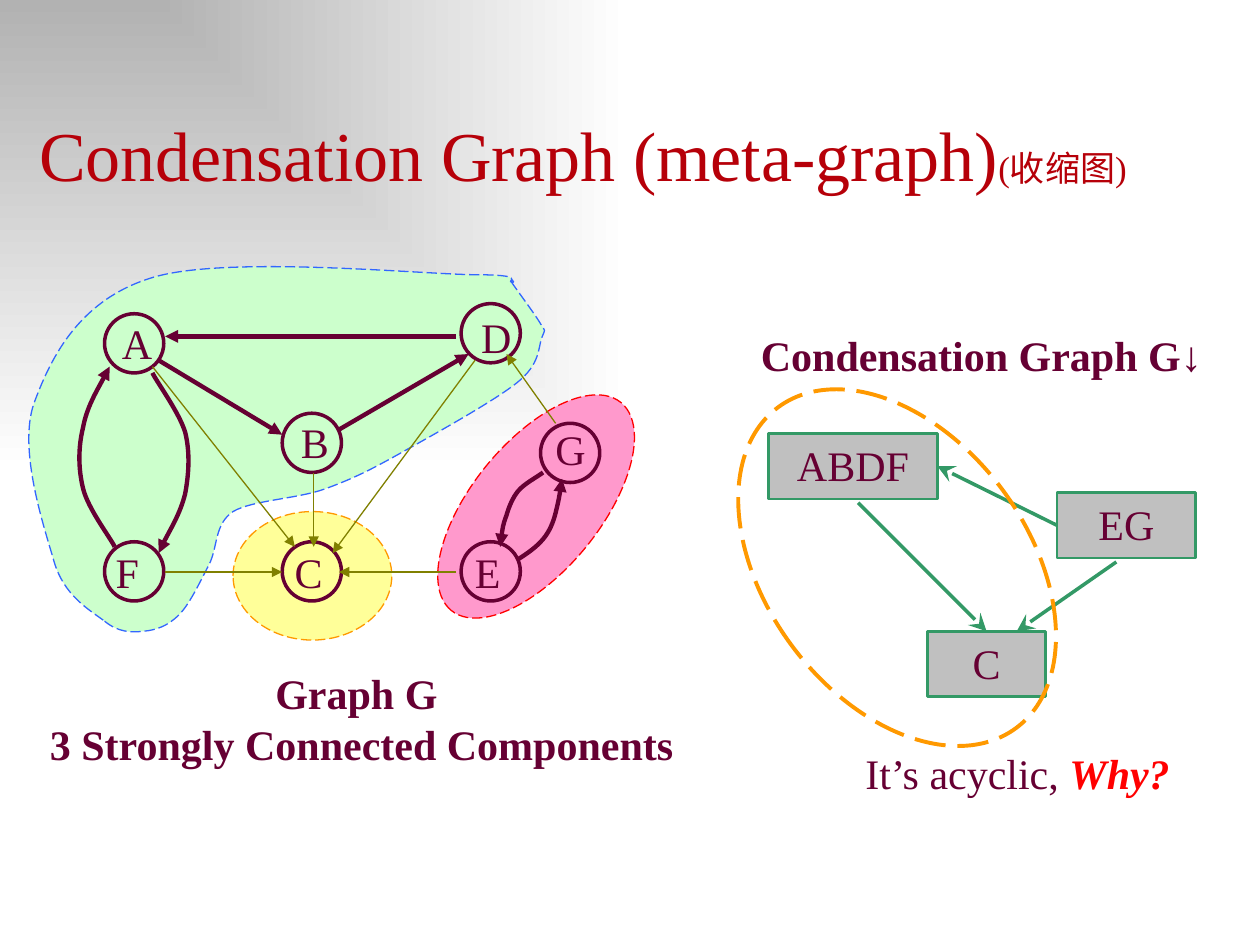
"""Build a slide that shows a directed graph beside its condensation graph."""
from lxml.etree import SubElement
from pptx import Presentation
from pptx.dml.color import RGBColor as Rgb
from pptx.enum.dml import MSO_LINE as Dash
from pptx.enum.shapes import MSO_CONNECTOR as Link, MSO_SHAPE as Kind
from pptx.enum.text import MSO_ANCHOR as Anchor, MSO_AUTO_SIZE as Auto, PP_ALIGN as Align
from pptx.oxml.ns import qn
from pptx.util import Inches, Pt

THEME = dict(font="Times New Roman", title="B60009", ink="660033", olive="808000",
             green="339966", gray="C0C0C0", red="FF0000", orange="FF9900", blue="3366FF",
             pink="FF99CC", yellow="FFFF99", mint="CCFFCC", dark="B2B2B2", white="FFFFFF",
             head=40, small=20, body=24, thin=0.75, mid=2, bold=2.5, edge=1.5, ring=2.25)

TITLE = [[("Condensation Graph (meta-graph)", "title", "head", ""),
          ("(收缩图)", "title", "small", "")]]
TEXTS = [
    ((0.27, 5.25, 5.2, 0.9), Align.CENTER,
     [[("Graph G ", "ink", "body", "b")],
      [("3 Strongly Connected Components", "ink", "body", "b")]]),
    ((5.94, 2.57, 4.06, 0.5), Align.LEFT, [[("Condensation Graph G↓", "ink", "body", "b")]]),
    ((6.77, 5.88, 3.23, 0.5), Align.LEFT,
     [[("It’s acyclic, ", "ink", "body", ""), ("Why?", "red", "body", "bi")]]),
]
OVALS = [((3.19, 3.51, 2.13, 1.02), 309.2, "pink", "red"),
         ((1.85, 4.06, 1.26, 1.02), 0, "yellow", "orange")]
RING = (6.08, 2.92, 2.08, 3.17), 323.4
REGION = [
    (0.83, 4.93), (0.94, 5.02), (1.04, 5.02), (1.14, 5.01), (1.24, 5), (1.33, 4.97),
    (1.42, 4.88), (1.51, 4.79), (1.59, 4.61), (1.66, 4.48), (1.73, 4.34), (1.7, 4.16),
    (1.85, 4.06), (2, 3.97), (2.36, 3.96), (2.58, 3.88), (2.8, 3.8), (2.94, 3.73),
    (3.19, 3.59), (3.44, 3.45), (3.91, 3.19), (4.1, 3.04), (4.29, 2.89), (4.27, 2.76),
    (4.3, 2.68), (4.33, 2.6), (4.33, 2.64), (4.29, 2.57), (4.25, 2.5), (4.1, 2.3),
    (4.06, 2.24), (4.02, 2.18), (4.11, 2.25), (4.06, 2.24), (4.01, 2.23), (4.21, 2.18),
    (3.74, 2.18), (3.27, 2.17), (1.8, 2.03), (1.22, 2.2), (0.64, 2.37), (0.41, 2.82),
    (0.27, 3.2), (0.14, 3.57), (0.35, 4.18), (0.43, 4.46), (0.51, 4.73), (0.71, 4.84),
    (0.83, 4.93)]
NODE = 0.47
NODES = {"A": ((0.83, 2.49), (0.87, 2.47)), "D": ((3.66, 2.41), (3.72, 2.42)),
         "G": ((4.29, 3.36), (4.31, 3.31)), "E": ((3.66, 4.3), (3.67, 4.29)),
         "B": ((2.24, 3.28), (2.29, 3.26)), "C": ((2.24, 4.3), (2.24, 4.29)),
         "F": ((0.83, 4.3), (0.82, 4.29))}
INNER = [(3.62, 2.67, 1.31, 2.67), (1.26, 2.86, 2.24, 3.45), (2.69, 3.41, 3.72, 2.81)]
CROSS = [(2.49, 3.75, 2.49, 4.34), (3.77, 2.86, 2.64, 4.39), (1.31, 4.54, 2.24, 4.54),
         (3.62, 4.54, 2.69, 4.54), (4.41, 3.36, 4.02, 2.81), (1.21, 2.91, 2.34, 4.34)]
BENDS = [
    [(0.91, 4.34), (0.87, 4.26), (0.7, 4.04), (0.66, 3.88), (0.62, 3.72), (0.62, 3.55),
     (0.66, 3.39), (0.69, 3.23), (0.82, 3.01), (0.87, 2.91)],
    [(1.21, 2.96), (1.25, 3.04), (1.42, 3.27), (1.47, 3.43), (1.51, 3.59), (1.5, 3.76),
     (1.47, 3.92), (1.43, 4.08), (1.3, 4.29), (1.26, 4.39)],
    [(4.31, 3.75), (4.24, 3.8), (4.16, 3.84), (4.11, 3.9), (4.07, 3.95), (4.04, 4.02),
     (4.02, 4.09), (3.99, 4.17), (3.98, 4.25), (3.97, 4.34)],
    [(4.11, 4.44), (4.19, 4.39), (4.26, 4.34), (4.31, 4.28), (4.36, 4.22), (4.39, 4.15),
     (4.41, 4.07), (4.43, 3.99), (4.45, 3.89), (4.46, 3.8)]]
BOXES = {"ABDF": (6.1, 3.44, 1.34, 0.52), "C": (7.36, 5.01, 0.94, 0.52),
         "EG": (8.39, 3.91, 1.1, 0.52)}
STEPS = [((8.39, 4.14, 7.44, 3.67), ("EG", 1), ("ABDF", 3)),
         ((6.81, 3.99, 7.84, 5.01), None, ("C", 0)),
         ((8.86, 4.46, 8.07, 5.01), None, None)]


def tint(name):
    return Rgb.from_string(THEME[name])


def write(frame, paras, align):
    frame.word_wrap = True
    for i, runs in enumerate(paras):
        para = frame.paragraphs[0] if i == 0 else frame.add_paragraph()
        para.alignment = align
        for text, color, size, style in runs:
            run = para.add_run()
            run.text = text
            font = run.font
            font.name, font.size = THEME["font"], Pt(THEME[size])
            font.color.rgb = tint(color)
            font.bold, font.italic = "b" in style, "i" in style


def label(slide, at, paras, align=Align.LEFT):
    box = slide.shapes.add_textbox(*map(Inches, at))
    write(box.text_frame, paras, align)


def paint(shape, fill, color, width, dash=None):
    shape.shadow.inherit = False
    if fill:
        shape.fill.solid()
        shape.fill.fore_color.rgb = tint(fill)
    else:
        shape.fill.background()
    stroke(shape.line, color, width, dash)
    return shape


def stroke(line, color, width, dash=None):
    line.color.rgb = tint(color)
    line.width = Pt(THEME[width])
    if dash:
        line.dash_style = dash


def tip(shape, kind="triangle", size="med"):
    SubElement(shape.line._get_or_add_ln(), qn("a:tailEnd"), type=kind, w=size, len=size)


def arrow(slide, ends, color, width, *head):
    line = slide.shapes.add_connector(Link.STRAIGHT, *map(Inches, ends))
    stroke(line.line, color, width)
    tip(line, *head)
    SubElement(line._element.spPr, qn("a:effectLst"))
    return line


def form(slide, kind, at, *look, turn=0):
    shape = slide.shapes.add_shape(kind, *map(Inches, at))
    shape.rotation = turn
    return paint(shape, *look)


def curve(slide, knots, *look, close=False):
    dots = [(Inches(x), Inches(y)) for x, y in knots]
    pen = slide.shapes.build_freeform(*dots[0])
    pen.add_line_segments(dots[1:], close=close)
    shape = pen.convert_to_shape()
    legs = list(shape._element.iter(qn("a:lnTo")))
    for i in range(0, len(dots) - 1, 3):
        bend = legs[i].makeelement(qn("a:cubicBezTo"))
        legs[i].addprevious(bend)
        for leg in legs[i:i + 3]:
            bend.append(leg[0])
            leg.getparent().remove(leg)
    return paint(shape, *look)


def shade(slide):
    fill = slide.background.fill
    fill.gradient()
    for stop, name in zip(fill.gradient_stops, ("dark", "white")):
        stop.color.rgb = tint(name)
    grad = slide._element.find(".//" + qn("a:gradFill"))
    grad.remove(grad.find(qn("a:lin")))
    rect = SubElement(grad, qn("a:path"), path="rect")
    SubElement(rect, qn("a:fillToRect"), l="0", t="0", r="100000", b="100000")


def head(slide):
    title = slide.shapes.title
    title.left, title.top, title.width, title.height = map(Inches, (0.21, 0.83, 9.79, 0.77))
    title.text_frame.auto_size = Auto.NONE
    title.text_frame.vertical_anchor = Anchor.BOTTOM
    write(title.text_frame, TITLE, Align.LEFT)


def graph(slide):
    for at, turn, fill, color in OVALS:
        form(slide, Kind.OVAL, at, fill, color, "thin", Dash.LONG_DASH, turn=turn)
    curve(slide, REGION, "mint", "blue", "thin", Dash.LONG_DASH, close=True)
    for spot, _ in NODES.values():
        form(slide, Kind.OVAL, (*spot, NODE, NODE), None, "ink", "mid")
    for ends in INNER:
        arrow(slide, ends, "ink", "bold")
    for ends in CROSS:
        arrow(slide, ends, "olive", "thin")
    for knots in BENDS:
        tip(curve(slide, knots, None, "ink", "bold"))
    for name, (_, spot) in NODES.items():
        label(slide, (*spot, 0.64, 0.5), [[(name, "ink", "body", "")]])


def meta(slide):
    boxes = {}
    for name, at in BOXES.items():
        boxes[name] = box = form(slide, Kind.RECTANGLE, at, "gray", "green", "edge")
        box.text_frame.vertical_anchor = Anchor.TOP
        write(box.text_frame, [[(name, "ink", "body", "")]], Align.CENTER)
    for ends, start, end in STEPS:
        line = arrow(slide, ends, "green", "mid", "stealth", "lg")
        for join, spot in ((line.begin_connect, start), (line.end_connect, end)):
            if spot:
                join(boxes[spot[0]], spot[1])


def main():
    deck = Presentation()
    deck.slide_width, deck.slide_height = Inches(10), Inches(7.5)
    slide = deck.slides.add_slide(deck.slide_layouts[5])
    shade(slide)
    head(slide)
    graph(slide)
    meta(slide)
    for at, align, paras in TEXTS:
        label(slide, at, paras, align)
    at, turn = RING
    form(slide, Kind.OVAL, at, None, "orange", "ring", Dash.LONG_DASH, turn=turn)
    deck.save("out.pptx")


if __name__ == "__main__":
    main()
